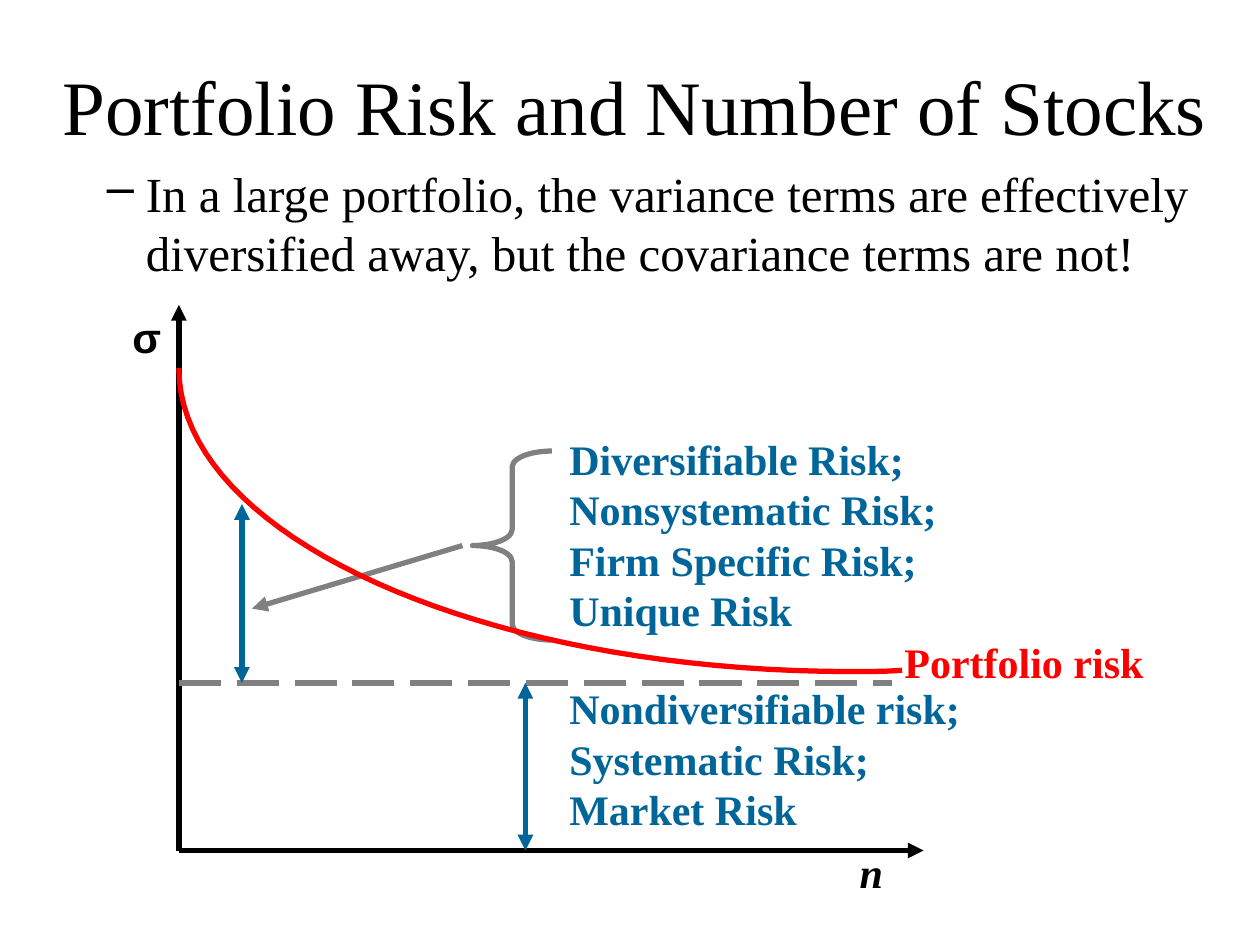
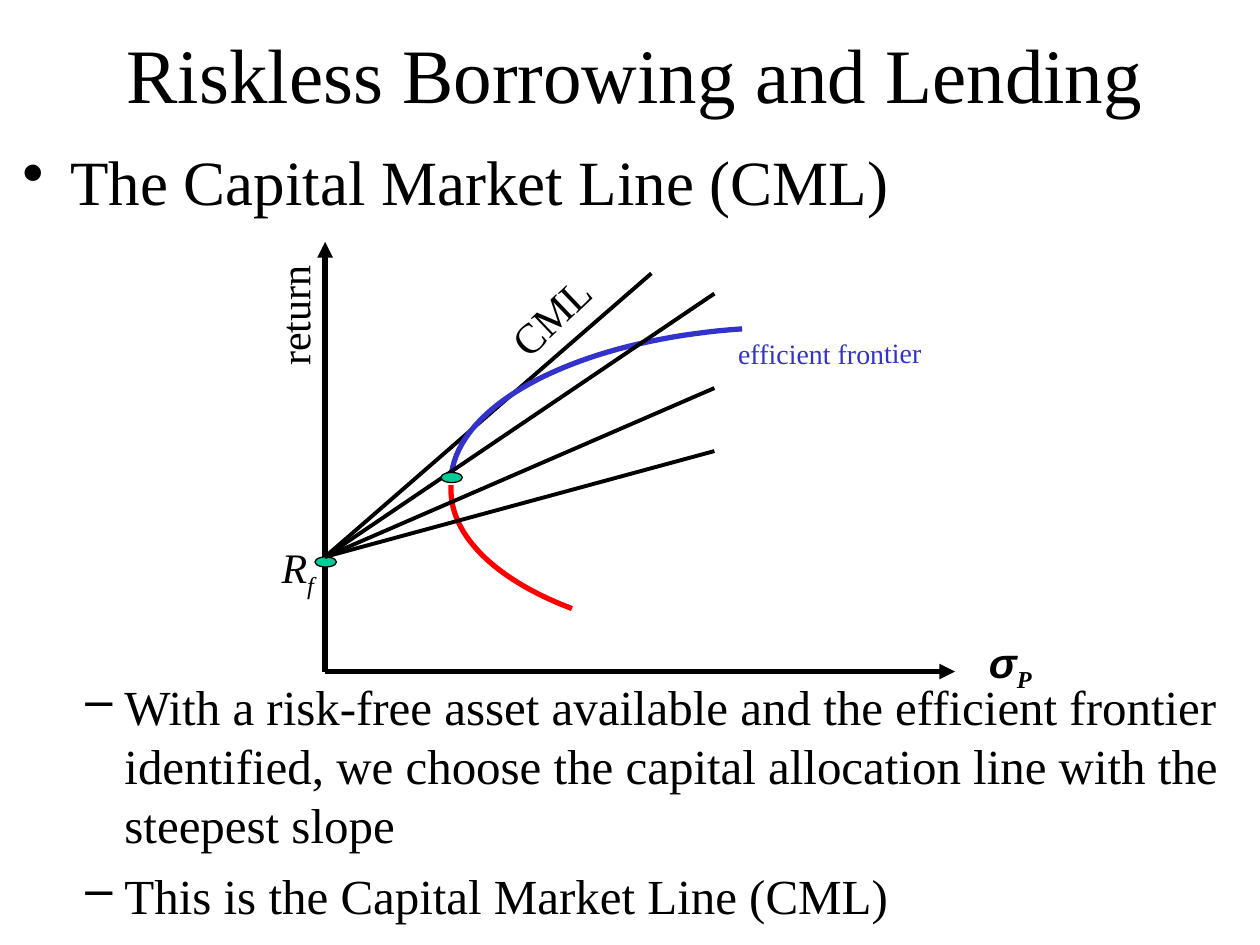
from dataclasses import dataclass

from lxml.etree import SubElement
from pptx import Presentation
from pptx.dml.color import RGBColor
from pptx.enum.dml import MSO_LINE
from pptx.enum.shapes import MSO_CONNECTOR, MSO_SHAPE
from pptx.enum.text import MSO_ANCHOR, PP_ALIGN
from pptx.oxml.ns import qn
from pptx.slide import Slide
from pptx.util import Inches, Pt

BLACK = RGBColor(0x00, 0x00, 0x00)
GRAY = RGBColor(0x80, 0x80, 0x80)
TEAL = RGBColor(0x00, 0x66, 0x99)
RED = RGBColor(0xFF, 0x00, 0x00)
BLUE = RGBColor(0x33, 0x33, 0xCC)
GREEN = RGBColor(0x00, 0xCC, 0x99)
SERIF, SANS = "Times New Roman", "Arial"
AXIS_WIDTH, RAY_WIDTH = 3, 2.25
CURVE_STEPS = 40

Point = tuple[float, float]
Box = tuple[float, float, float, float]


@dataclass(frozen=True)
class Label:
    text: str
    box: Box
    size: float = 24
    color: RGBColor = BLACK
    font: str = SERIF
    bold: bool = False
    italic: bool = False
    align: PP_ALIGN = PP_ALIGN.LEFT
    anchor: MSO_ANCHOR = MSO_ANCHOR.TOP
    rotation: float = 0
    subscript: str = ""


@dataclass(frozen=True)
class Bullet:
    text: str
    level: int = 1
    space_before: float = 0


@dataclass(frozen=True)
class Stroke:
    start: Point
    end: Point
    color: RGBColor = BLACK
    width: float = AXIS_WIDTH
    start_arrow: bool = False
    end_arrow: bool = False
    dashed: bool = False


@dataclass(frozen=True)
class BulletStyle:
    symbol: str
    size: float
    margin: float
    hanging: float


BULLET_STYLES = (BulletStyle("•", 36, 0.38, 0.38), BulletStyle("–", 28, 0.81, 0.31))


def add_label(slide: Slide, label: Label) -> None:
    box = slide.shapes.add_textbox(*map(Inches, label.box))
    box.rotation = label.rotation
    frame = box.text_frame
    frame.word_wrap = True
    frame.vertical_anchor = label.anchor
    frame.text = label.text
    paragraph = frame.paragraphs[0]
    paragraph.alignment = label.align
    if label.subscript:
        lowered = paragraph.add_run()
        lowered.text = label.subscript
        lowered.font.name = SERIF
        lowered._r.get_or_add_rPr().set("baseline", "-25000")
    for run in paragraph.runs:
        run.font.size = Pt(label.size)
        run.font.bold, run.font.italic = label.bold, label.italic
        run.font.color.rgb = label.color
    paragraph.runs[0].font.name = label.font


def add_title(slide: Slide, text: str, top: float) -> None:
    add_label(slide, Label(text, (0.33, top, 9.42, 1), 44,
                           align=PP_ALIGN.CENTER, anchor=MSO_ANCHOR.MIDDLE))


def add_bullets(slide: Slide, box: Box, bullets: list[Bullet]) -> None:
    frame = slide.shapes.add_textbox(*map(Inches, box)).text_frame
    frame.word_wrap = True
    frame.text = "\n".join(bullet.text for bullet in bullets)
    for paragraph, bullet in zip(frame.paragraphs, bullets):
        style = BULLET_STYLES[bullet.level]
        paragraph.level = bullet.level
        paragraph.space_before = Pt(bullet.space_before)
        properties = paragraph._p.get_or_add_pPr()
        properties.set("marL", str(Inches(style.margin)))
        properties.set("indent", str(-Inches(style.hanging)))
        SubElement(properties, qn("a:buChar")).set("char", style.symbol)
        for run in paragraph.runs:
            run.font.name, run.font.size = SERIF, Pt(style.size)
            run.font.color.rgb = BLACK


def add_stroke(slide: Slide, stroke: Stroke) -> None:
    ends = map(Inches, (*stroke.start, *stroke.end))
    connector = slide.shapes.add_connector(MSO_CONNECTOR.STRAIGHT, *ends)
    line = connector.line
    line.color.rgb, line.width = stroke.color, Pt(stroke.width)
    if stroke.dashed:
        line.dash_style = MSO_LINE.LONG_DASH
    outline = line._get_or_add_ln()
    for tag, wanted in (("a:headEnd", stroke.start_arrow), ("a:tailEnd", stroke.end_arrow)):
        if wanted:
            SubElement(outline, qn(tag)).set("type", "triangle")
    SubElement(connector._element.spPr, qn("a:effectLst"))


def add_axes(slide: Slide, origin: Point, top: float, right: float) -> None:
    for tip in ((origin[0], top), (right, origin[1])):
        add_stroke(slide, Stroke(origin, tip, end_arrow=True))


def bezier(p0: Point, p1: Point, p2: Point, p3: Point) -> list[Point]:
    """Sample a cubic curve, leaving out its first point."""
    points = []
    for step in range(1, CURVE_STEPS + 1):
        t = step / CURVE_STEPS
        s = 1 - t
        weights = (s ** 3, 3 * s * s * t, 3 * s * t * t, t ** 3)
        x, y = (sum(w * p[axis] for w, p in zip(weights, (p0, p1, p2, p3)))
                for axis in (0, 1))
        points.append((x, y))
    return points


def add_curve(slide: Slide, color: RGBColor, start: Point,
              *segments: tuple[Point, Point, Point]) -> None:
    points = [start]
    for segment in segments:
        points += bezier(points[-1], *segment)
    emu_points = [(Inches(x), Inches(y)) for x, y in points]
    builder = slide.shapes.build_freeform(*emu_points[0])
    builder.add_line_segments(emu_points[1:], close=False)
    curve = builder.convert_to_shape()
    curve.shadow.inherit = False
    curve.fill.background()
    curve.line.color.rgb, curve.line.width = color, Pt(3)


def add_marker(slide: Slide, left: float, top: float) -> None:
    marker = slide.shapes.add_shape(
        MSO_SHAPE.OVAL, *map(Inches, (left, top, 0.17, 0.08)))
    marker.shadow.inherit = False
    marker.fill.solid()
    marker.fill.fore_color.rgb = GREEN
    marker.line.color.rgb, marker.line.width = BLACK, Pt(0.75)


def add_brace(slide: Slide, box: Box) -> None:
    brace = slide.shapes.add_shape(MSO_SHAPE.LEFT_BRACE, *map(Inches, box))
    brace.adjustments[0] = 0.2
    brace.shadow.inherit = False
    brace.fill.background()
    brace.line.color.rgb, brace.line.width = GRAY, Pt(3)


def build_portfolio_risk(slide: Slide) -> None:
    add_title(slide, "Portfolio Risk and Number of Stocks", 0.33)
    add_bullets(slide, (0.25, 1.25, 9.58, 6.08), [
        Bullet("In a large portfolio, the variance terms are effectively "
               "diversified away, but the covariance terms are not!")])

    # Axes and the floor of nondiversifiable risk
    origin_x, origin_y, floor_y = 1.42, 6.75, 5.42
    add_axes(slide, (origin_x, origin_y), 2.42, 7.33)
    add_stroke(slide, Stroke((origin_x, floor_y), (7.08, floor_y), GRAY, dashed=True))

    # Spans of the two kinds of risk
    for x, top, bottom in ((4.17, floor_y, origin_y), (1.92, 4, floor_y)):
        add_stroke(slide, Stroke((x, top), (x, bottom), TEAL,
                                 start_arrow=True, end_arrow=True))
    add_brace(slide, (3.75, 3.58, 0.63, 1.5))
    add_stroke(slide, Stroke((3.67, 4.33), (2, 4.83), GRAY, end_arrow=True))

    # Portfolio risk falling towards the floor
    add_curve(slide, RED, (7.16, 5.32),
              ((7.03, 5.33), (6.89, 5.33), (6.75, 5.33)),
              ((3.81, 5.33), (origin_x, 4.25), (origin_x, 2.92)))

    for label in (
        Label("σ", (0.75, 2.42, 0.83, 0.5), font=SANS, bold=True, align=PP_ALIGN.CENTER),
        Label("n", (6.5, 6.67, 0.83, 0.5), bold=True, italic=True, align=PP_ALIGN.CENTER),
        Label("Nondiversifiable risk; Systematic Risk; Market Risk",
              (4.42, 5.37, 3.5, 1.3), color=TEAL, bold=True),
        Label("Diversifiable Risk; Nonsystematic Risk; Firm Specific Risk; Unique Risk",
              (4.42, 3.39, 3.67, 1.7), color=TEAL, bold=True),
        Label("Portfolio risk", (7.08, 5, 2.42, 0.5), color=RED, bold=True),
    ):
        add_label(slide, label)


def build_capital_market_line(slide: Slide) -> None:
    add_title(slide, "Riskless Borrowing and Lending", 0.08)
    # The second bullet starts below the diagram
    add_bullets(slide, (0.08, 1.08, 9.83, 6.42), [
        Bullet("The Capital Market Line (CML)", level=0),
        Bullet("With a risk-free asset available and the efficient frontier identified, "
               "we choose the capital allocation line with the steepest slope",
               space_before=262),
        Bullet("This is the Capital Market Line (CML)", space_before=7)])

    axis_x = 2.58
    add_axes(slide, (axis_x, 5.33), 1.92, 7.58)
    for label in (
        Label("return", (1.79, 2.21, 1.08, 0.5), rotation=270),
        Label("σ", (7.75, 5, 0.92, 0.56), font=SANS, bold=True, italic=True, subscript="P"),
        Label("R", (1.92, 4.25, 0.67, 0.56), italic=True, align=PP_ALIGN.RIGHT,
              subscript="f"),
        Label("CML", (3.9, 2.22, 1.02, 0.5), rotation=316.4),
        Label("efficient frontier", (5.33, 2.62, 2.08, 0.37), 16, BLUE,
              align=PP_ALIGN.RIGHT, rotation=359.6),
    ):
        add_label(slide, label)

    # Allocation lines from the risk-free rate, the steepest behind the frontier
    add_marker(slide, 2.5, 4.42)
    risk_free = (axis_x, 4.42)
    add_stroke(slide, Stroke(risk_free, (5.17, 2.17), width=RAY_WIDTH))
    add_curve(slide, BLUE, (5.89, 2.61), ((4.59, 2.7), (3.63, 3.2), (3.58, 3.79)))
    add_curve(slide, RED, (3.58, 3.85),
              ((3.58, 3.87), (3.58, 3.88), (3.58, 3.89)),
              ((3.58, 4.25), (3.93, 4.6), (4.54, 4.83)))
    for end_y in (2.33, 3.08, 3.58):
        add_stroke(slide, Stroke(risk_free, (5.67, end_y), width=RAY_WIDTH))
    add_marker(slide, 3.5, 3.75)


def main() -> None:
    deck = Presentation()
    deck.slide_width, deck.slide_height = Inches(10), Inches(7.5)
    blank = deck.slide_layouts[6]
    for build in (build_portfolio_risk, build_capital_market_line):
        build(deck.slides.add_slide(blank))
    deck.save("out.pptx")


if __name__ == "__main__":
    main()
